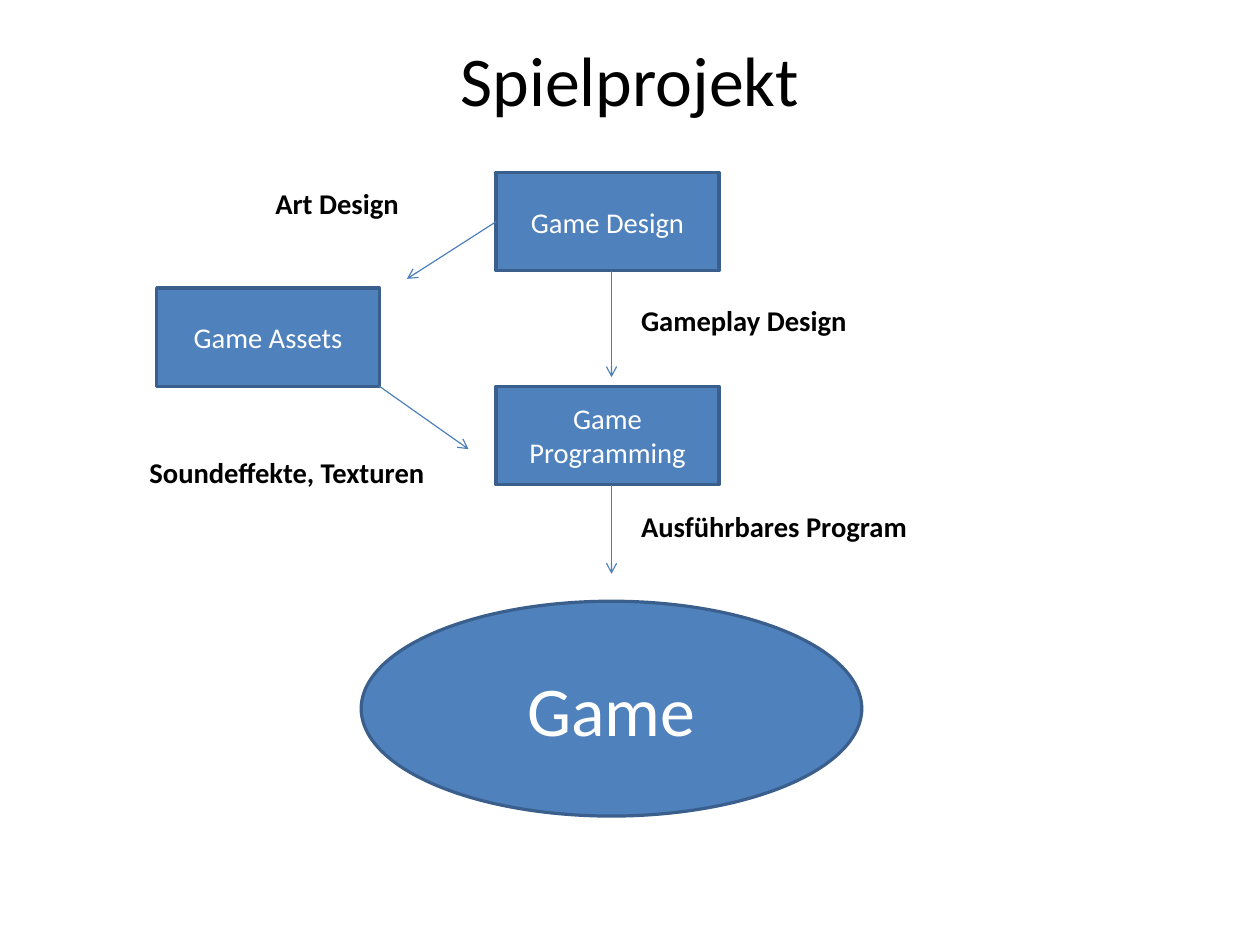
from dataclasses import dataclass
from typing import Optional

from lxml import etree
from pptx import Presentation
from pptx.dml.color import RGBColor
from pptx.enum.shapes import MSO_CONNECTOR, MSO_SHAPE
from pptx.enum.text import MSO_ANCHOR, MSO_AUTO_SIZE, PP_ALIGN
from pptx.oxml.ns import qn
from pptx.util import Inches, Pt

RECT, ELLIPSE = MSO_SHAPE.RECTANGLE, MSO_SHAPE.OVAL
STRAIGHT = MSO_CONNECTOR.STRAIGHT
LEFT, CENTER = PP_ALIGN.LEFT, PP_ALIGN.CENTER
TOP, MIDDLE = MSO_ANCHOR.TOP, MSO_ANCHOR.MIDDLE
FIT_SHAPE = MSO_AUTO_SIZE.SHAPE_TO_FIT_TEXT
LEFT_SIDE = 1

CM_PER_INCH = 2.54
SLIDE_W, SLIDE_H = 28 / CM_PER_INCH, 21 / CM_PER_INCH
FONT = "Calibri"
BLACK, WHITE = "000000", "FFFFFF"
FILL, OUTLINE, ARROW = "4F81BD", "3A5F8C", "4B7EBC"
BOX_W, BOX_H = 1.95, 0.86
DESIGN_X = 4.34
FLOW_X = 5.35


@dataclass
class Node:
    text: str
    x: float
    y: float
    w: float = BOX_W
    h: float = BOX_H
    kind: int = RECT
    size: int = 18


@dataclass
class Arrow:
    start: tuple[float, float]
    end: tuple[float, float]
    source: Optional[str] = None
    side: int = LEFT_SIDE


@dataclass
class Label:
    text: str
    x: float
    y: float
    w: float
    h: float = 0.4
    wrap: bool = False


NODES = [
    Node("Game Design", DESIGN_X, 1.51),
    Node("Game Programming", DESIGN_X, 3.38),
    Node("Game Assets", 1.37, 2.52),
    Node("Game", 3.16, 5.26, 4.38, 1.88, ELLIPSE, 44),
]
ARROWS = [
    Arrow((DESIGN_X, 1.94), (3.56, 2.44), "Game Design"),
    Arrow((3.32, 3.38), (4.1, 3.93)),
    Arrow((FLOW_X, 2.37), (FLOW_X, 3.3)),
    Arrow((FLOW_X, 4.24), (FLOW_X, 5.02)),
]
LABELS = [
    Label("Gameplay Design", 5.51, 2.6, 2.19, 1.01, wrap=True),
    Label("Art Design", 2.31, 1.58, 1.48, 0.71),
    Label("Soundeffekte, Texturen", 1.21, 3.93, 2.63),
    Label("Ausführbares Program", 5.51, 4.4, 2.95),
]


def rgb(color: str) -> RGBColor:
    return RGBColor.from_string(color)


def write(tf, text: str, *, size=18, color=BLACK, bold=False, align=LEFT,
          anchor=TOP, wrap=True) -> None:
    tf.word_wrap = wrap
    tf.vertical_anchor = anchor
    p = tf.paragraphs[0]
    p.alignment = align
    r = p.add_run()
    r.text = text
    r.font.name = FONT
    r.font.size = Pt(size)
    r.font.bold = bold
    r.font.color.rgb = rgb(color)


def add_title(s, text: str) -> None:
    tf = s.shapes.add_textbox(Inches(0.55), 0, Inches(9.92), Inches(1.38)).text_frame
    tf.margin_left = tf.margin_right = tf.margin_top = tf.margin_bottom = 0
    write(tf, text, size=44, align=CENTER, anchor=MIDDLE)


def add_node(s, node: Node):
    sp = s.shapes.add_shape(node.kind, Inches(node.x), Inches(node.y),
                            Inches(node.w), Inches(node.h))
    sp.shadow.inherit = False
    sp.fill.solid()
    sp.fill.fore_color.rgb = rgb(FILL)
    sp.line.color.rgb = rgb(OUTLINE)
    sp.line.width = Pt(2)
    write(sp.text_frame, node.text, size=node.size, color=WHITE,
          align=CENTER, anchor=MIDDLE)
    return sp


def add_arrow(s, arrow: Arrow, shapes: dict) -> None:
    cx = s.shapes.add_connector(STRAIGHT, *map(Inches, arrow.start + arrow.end))
    if arrow.source:
        cx.begin_connect(shapes[arrow.source], arrow.side)
    cx.line.color.rgb = rgb(ARROW)
    cx.line.width = Pt(0.75)
    ln = cx.element.spPr.find(qn("a:ln"))
    etree.SubElement(ln, qn("a:tailEnd"), type="arrow")
    etree.SubElement(cx.element.spPr, qn("a:effectLst"))


def add_label(s, label: Label) -> None:
    tf = s.shapes.add_textbox(Inches(label.x), Inches(label.y),
                              Inches(label.w), Inches(label.h)).text_frame
    tf.auto_size = FIT_SHAPE
    write(tf, label.text, bold=True, wrap=label.wrap)


def main() -> None:
    prs = Presentation()
    prs.slide_width, prs.slide_height = Inches(SLIDE_W), Inches(SLIDE_H)
    s = prs.slides.add_slide(prs.slide_layouts[6])

    # Title
    add_title(s, "Spielprojekt")

    # Project stages and the arrows between them
    shapes = {node.text: add_node(s, node) for node in NODES}
    for arrow in ARROWS:
        add_arrow(s, arrow, shapes)

    # Arrow labels
    for label in LABELS:
        add_label(s, label)

    prs.save("out.pptx")


if __name__ == "__main__":
    main()
